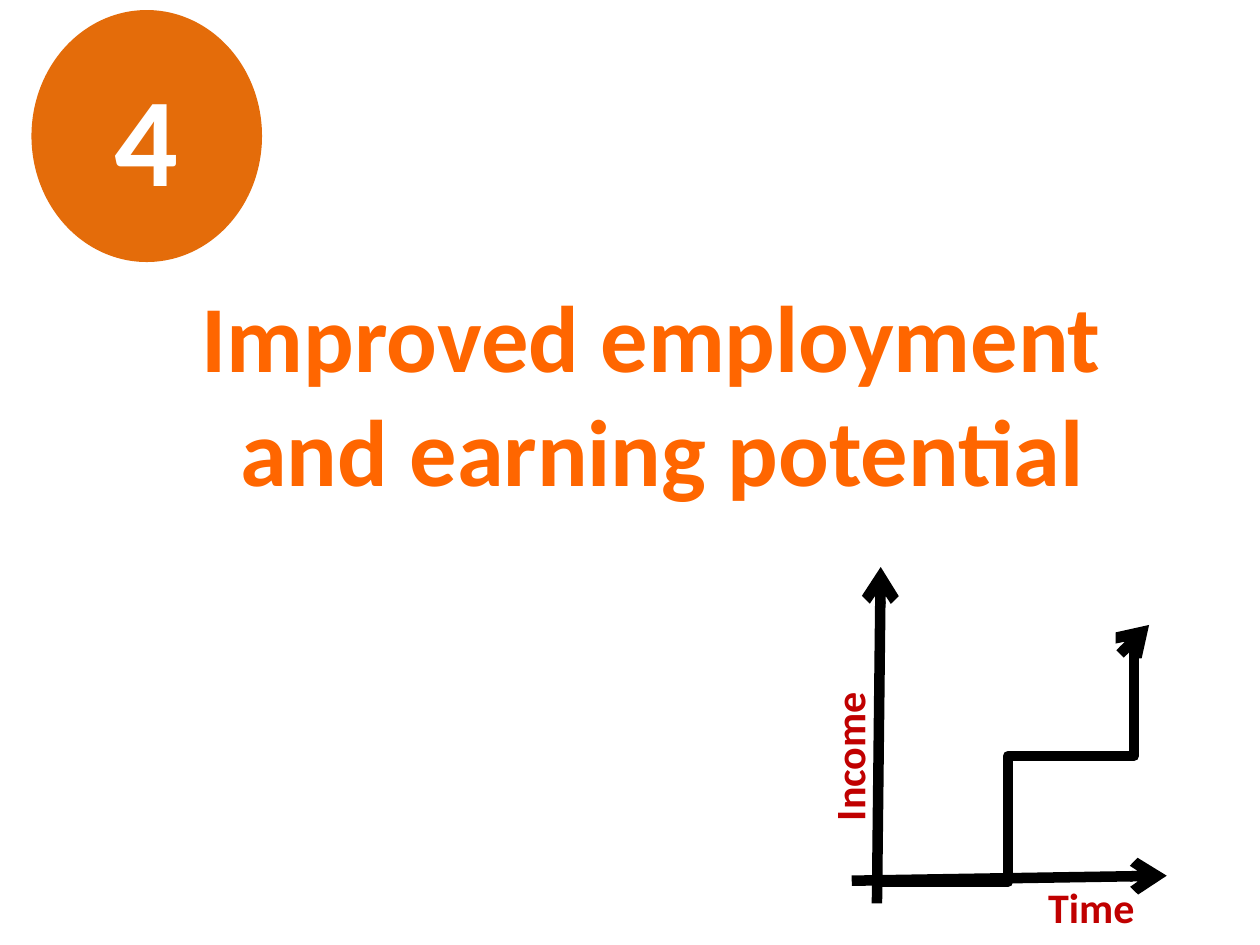
import dataclasses

import pptx
import pptx.dml.color
import pptx.enum.shapes
import pptx.enum.text
import pptx.oxml.ns
import pptx.util
from lxml import etree

Inches = pptx.util.Inches
ALIGN = pptx.enum.text.PP_ALIGN


@dataclasses.dataclass(frozen=True)
class Theme:
    """Colours, font, type sizes and line width of the slide."""
    badge: str = "E46C0A"
    title: str = "FF6600"
    label: str = "C00000"
    ink: str = "000000"
    white: str = "FFFFFF"
    font: str = "Calibri"
    badge_size: int = 72
    title_size: int = 54
    label_size: int = 24
    stroke: int = 6


THEME = Theme()


def rgb(value):
    """Turn a hex string into a colour."""
    return pptx.dml.color.RGBColor.from_string(value)


def write(shape, lines, size, color, align):
    """Write bold lines into a shape, one paragraph each."""
    frame = shape.text_frame
    frame.word_wrap = True
    frame.text = "\n".join(lines)
    formats = {"name": THEME.font, "size": pptx.util.Pt(size), "bold": True}
    for para in frame.paragraphs:
        para.alignment = align
        for span in para.runs:
            for key, value in formats.items():
                setattr(span.font, key, value)
            span.font.color.rgb = rgb(color)


def add_label(shapes, text, left, top, width, height, rotation=0):
    """Add an axis label, turned by the given angle."""
    box = shapes.add_textbox(*map(Inches, (left, top, width, height)))
    box.rotation = rotation
    write(box, [text], THEME.label_size, THEME.label, ALIGN.LEFT)


def style_stroke(shape):
    """Give a line or curve the heavy ink stroke."""
    shape.line.color.rgb = rgb(THEME.ink)
    shape.line.width = pptx.util.Pt(THEME.stroke)


def add_arrow(shapes, start, end):
    """Add a heavy straight arrow between two points."""
    arrow = shapes.add_connector(
        pptx.enum.shapes.MSO_CONNECTOR.STRAIGHT, *map(Inches, (*start, *end)))
    style_stroke(arrow)
    qn = pptx.oxml.ns.qn
    properties = arrow.line._get_or_add_ln()
    etree.SubElement(properties, qn("a:tailEnd"), type="arrow")
    etree.SubElement(properties.getparent(), qn("a:effectLst"))


def bezier(points, steps=24):
    """Return points along a chain of cubic curves."""
    result = [points[0]]
    for first in range(0, len(points) - 1, 3):
        for step in range(1, steps + 1):
            t = step / steps
            weights = ((1 - t) ** 3, 3 * t * (1 - t) ** 2,
                       3 * t ** 2 * (1 - t), t ** 3)
            segment = points[first:first + 4]
            result.append(tuple(
                sum(w * point[axis] for w, point in zip(weights, segment))
                for axis in (0, 1)))
    return result


def add_badge(page, left, top, width, height):
    """Place the numbered disc."""
    disc = page.shapes.add_shape(
        pptx.enum.shapes.MSO_SHAPE.OVAL, *map(Inches, (left, top, width, height)))
    disc.shadow.inherit = False
    disc.fill.solid()
    disc.fill.fore_color.rgb = rgb(THEME.badge)
    disc.line.fill.background()
    disc.text_frame.vertical_anchor = pptx.enum.text.MSO_ANCHOR.MIDDLE
    write(disc, ["4"], THEME.badge_size, THEME.white, ALIGN.CENTER)


def add_title(page, left, top, width, height):
    """Place the two-line title."""
    box = page.shapes.add_textbox(*map(Inches, (left, top, width, height)))
    write(box, ["Improved employment ", "and earning potential"],
          THEME.title_size, THEME.title, ALIGN.CENTER)


def add_income_sketch(page, left, top, width, height):
    """Place the sketch of income rising over time."""
    shapes = page.shapes.add_group_shape().shapes
    right, bottom = left + width, top + height
    add_arrow(shapes, (left + 0.2, bottom), (left + 0.23, top))
    add_arrow(shapes, (left, bottom - 0.18), (right, bottom - 0.22))
    add_label(shapes, "Time", right - 1.04, bottom - 0.22, 1.11, 0.46)
    add_label(shapes, "Income", left - 0.85, top + 1.06, 1.63, 0.48, 270)
    offsets = [(0.48, 2.3), (0.63, 2.16), (0.77, 2.01), (0.91, 1.9),
               (1.05, 1.78), (1.13, 1.83), (1.33, 1.63),
               (1.53, 1.43), (1.97, 1.18), (2.13, 0.69)]
    points = bezier([(left + x, top + y) for x, y in offsets])
    builder = shapes.build_freeform(*points[0], scale=Inches(1))
    builder.add_line_segments(points[1:], close=False)
    curve = builder.convert_to_shape()
    curve.shadow.inherit = False
    curve.fill.background()
    style_stroke(curve)
    add_arrow(shapes, points[-1], (left + 2.36, top + 0.46))


def main():
    """Build and save the slide."""
    deck = pptx.Presentation()
    deck.slide_width, deck.slide_height = Inches(10), Inches(7.5)
    page = deck.slides.add_slide(deck.slide_layouts[6])
    add_badge(page, 0.25, 0.08, 1.83, 2)
    add_title(page, 1.42, 2.16, 7.67, 1.92)
    add_income_sketch(page, 6.76, 4.5, 2.5, 2.67)
    deck.save("out.pptx")


if __name__ == "__main__":
    main()
